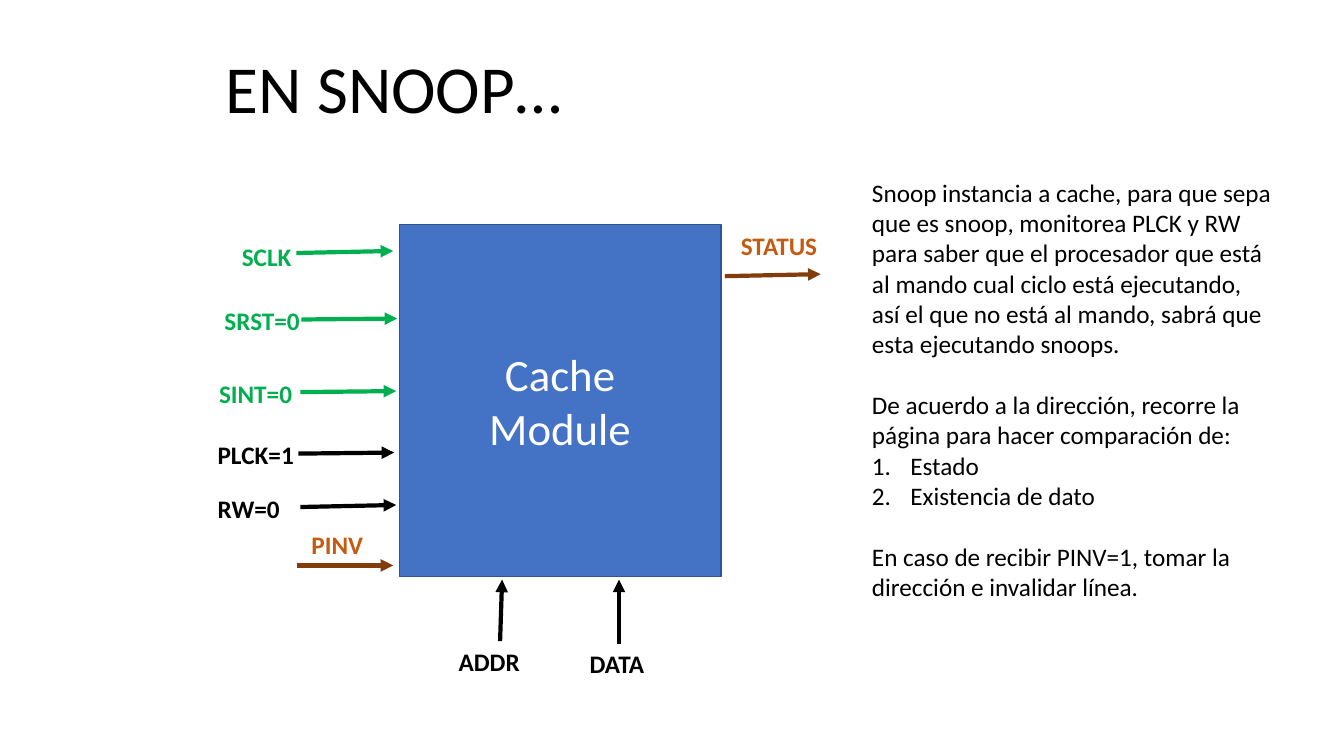
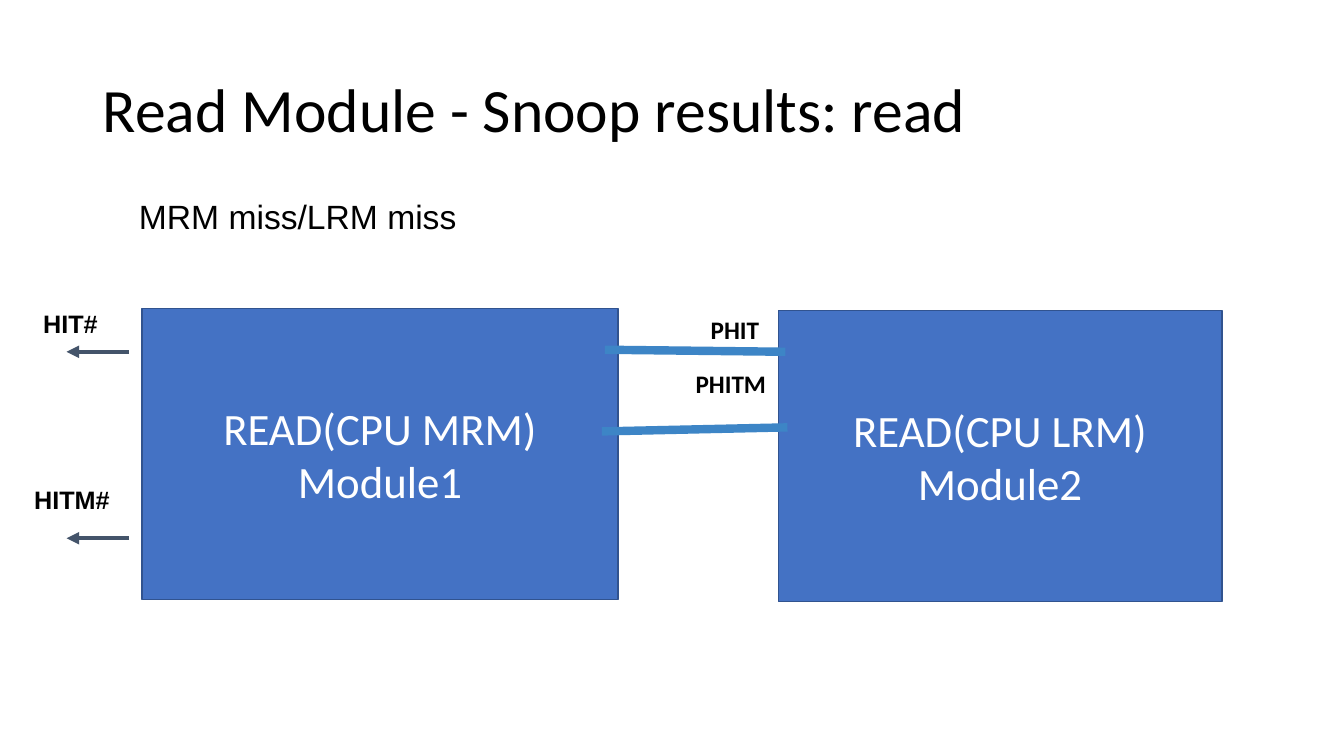
from lxml.etree import SubElement
from pptx import Presentation
from pptx.dml.color import RGBColor
from pptx.enum.shapes import MSO_CONNECTOR as CONN, MSO_SHAPE as SHAPE
from pptx.enum.text import MSO_ANCHOR as ANCHOR, MSO_AUTO_SIZE as AUTO, PP_ALIGN as ALIGN
from pptx.oxml.ns import qn
from pptx.util import Inches, Pt

BLACK, WHITE = "000000", "FFFFFF"
BLUE, NAVY, LINK, SLATE = "4472C4", "31538F", "3D85C6", "44546A"
GREEN, ORANGE, BROWN = "00B050", "C55A11", "833C0B"
LABEL = dict(size=Pt(18), bold=True)

INPUTS = [
    ("SCLK", GREEN, GREEN, ALIGN.CENTER, (-1.7, 0.11, 0.77), (-1.02, 0.28, 0.96, -0.02)),
    ("SRST=0", GREEN, GREEN, ALIGN.CENTER, (-1.9, 0.75, 1.08), (-0.97, 0.94, 0.95, -0.01)),
    ("SINT=0", GREEN, GREEN, ALIGN.CENTER, (-2.01, 1.47, 1.17), (-0.98, 1.66, 0.95, -0.01)),
    ("PLCK=1", BLACK, BLACK, ALIGN.LEFT, (-1.9, 2.08, 0.99), (-1, 2.27, 0.95, -0.01)),
    ("RW=0", BLACK, BLACK, ALIGN.LEFT, (-1.9, 2.61, 1.09), (-0.98, 2.8, 0.95, -0.02)),
    ("PINV", ORANGE, BROWN, ALIGN.LEFT, (-0.97, 2.97, 0.78), (-1.01, 3.38, 0.95, 0)),
    ("ADDR", BLACK, BLACK, ALIGN.LEFT, (0.49, 4.13, 1.05), (1, 4.13, 0.02, -0.61)),
    ("DATA", BLACK, BLACK, ALIGN.LEFT, (1.79, 4.15, 1.05), (2.18, 4.16, 0, -0.64)),
]
OUTPUTS = [
    ("STATUS", ORANGE, BROWN, ALIGN.LEFT, (3.29, 0.01, 1.04), (3.23, 0.51, 0.95, -0.02)),
]
HITS = [
    ("HIT#", BLACK, SLATE, ALIGN.LEFT, (-1.08, -0.05, 1.28), (-0.13, 0.43, -0.62, 0)),
    ("HITM#", BLACK, SLATE, ALIGN.LEFT, (-1.17, 1.7, 1.28), (-0.13, 2.28, -0.62, 0)),
]
LINKS = [
    ("PHIT", BLACK, LINK, ALIGN.LEFT, (5.54, 0.01, 0.82), (4.59, 0.41, 1.79, 0.02)),
    ("PHITM", BLACK, LINK, ALIGN.LEFT, (5.39, 0.54, 1.12), (4.56, 1.22, 1.84, -0.04)),
]
NOTES = [
    ("Snoop instancia a cache, para que sepa que es snoop, monitorea PLCK y RW para saber "
     "que el procesador que está al mando cual ciclo está ejecutando, así el que no está "
     "al mando, sabrá que esta ejecutando snoops.", False, 22),
    ("De acuerdo a la dirección, recorre la página para hacer comparación de:", False, 0),
    ("Estado", True, 0),
    ("Existencia de dato", True, 22),
    ("En caso de recibir PINV=1, tomar la dirección e invalidar línea.", False, 0),
]


def rgb(value):
    return RGBColor.from_string(value)


def set_attrs(obj, values):
    for name, value in values.items():
        setattr(obj, name, value)


def write(p, text, color=BLACK, align=ALIGN.LEFT, font="Calibri", **fmt):
    p.alignment = align
    r = p.add_run()
    r.text = text
    set_attrs(r.font, dict(fmt, name=font))
    r.font.color.rgb = rgb(color)


def add_text(s, box, inset=0.05):
    tf = s.shapes.add_textbox(*map(Inches, box)).text_frame
    set_attrs(tf, dict(word_wrap=True, margin_top=Inches(inset), margin_bottom=Inches(inset)))
    return tf


def add_title(s, box, text, size, anchor, spacing):
    title = s.shapes.title
    set_attrs(title, dict(zip(("left", "top", "width", "height"), map(Inches, box))))
    tf = title.text_frame
    set_attrs(tf, dict(word_wrap=True, auto_size=AUTO.NONE, vertical_anchor=anchor))
    p = tf.paragraphs[0]
    p.line_spacing = spacing
    write(p, text, size=Pt(size))


def add_module(s, box, lines):
    sp = s.shapes.add_shape(SHAPE.RECTANGLE, *map(Inches, box))
    sp.shadow.inherit = False
    sp.fill.solid()
    sp.fill.fore_color.rgb = rgb(BLUE)
    sp.line.color.rgb = rgb(NAVY)
    sp.line.width = Pt(1)
    tf = sp.text_frame
    set_attrs(tf, dict(word_wrap=True, vertical_anchor=ANCHOR.MIDDLE))
    for i, text in enumerate(lines):
        p = tf.add_paragraph() if i else tf.paragraphs[0]
        write(p, text, WHITE, ALIGN.CENTER, size=Pt(32))


def add_line(s, x, y, dx, dy, color, width, arrow):
    cn = s.shapes.add_connector(CONN.STRAIGHT, *map(Inches, (x, y, x + dx, y + dy)))
    cn.line.color.rgb = rgb(color)
    cn.line.width = Pt(width)
    if arrow:
        SubElement(cn.line._get_or_add_ln(), qn("a:tailEnd"), type="triangle")
    SubElement(cn._element.spPr, qn("a:effectLst"))


def add_signals(s, box, signals, font="Calibri", width=3, arrow=True, height=0.4):
    left, top = box[:2]
    for text, color, line, align, (lx, ly, w), (x, y, dx, dy) in signals:
        tf = add_text(s, (left + lx, top + ly, w, height))
        write(tf.paragraphs[0], text, color, align, font, **LABEL)
        add_line(s, left + x, top + y, dx, dy, line, width, arrow)


def add_notes(s, box):
    tf = add_text(s, box)
    for i, (text, numbered, after) in enumerate(NOTES):
        p = tf.add_paragraph() if i else tf.paragraphs[0]
        p.space_after = Pt(after)
        write(p, text, size=Pt(18))
        if numbered:
            pPr = p._p.get_or_add_pPr()
            pPr.set("marL", str(Inches(0.38)))
            pPr.set("indent", str(-Inches(0.38)))
            SubElement(pPr, qn("a:buFont"), typeface="+mj-lt")
            SubElement(pPr, qn("a:buAutoNum"), type="arabicPeriod")


def snoop_slide(s):
    cache = (3.96, 2.23, 3.19, 3.49)
    add_title(s, (2.14, 0.41, 5.74, 0.91), "EN SNOOP…", 48, ANCHOR.TOP, 1.0)
    add_module(s, cache, ["Cache", "Module"])
    add_signals(s, cache, INPUTS + OUTPUTS)
    add_notes(s, (8.55, 1.71, 4.19, 4.34))


def read_slide(s):
    mrm, lrm = (1.41, 3.06, 4.72, 2.89), (7.72, 3.08, 4.4, 2.89)
    add_title(s, (0.92, 0.39, 11.5, 1.45), "Read Module - Snoop results: read",
              44, ANCHOR.MIDDLE, 0.9)
    tf = add_text(s, (1.28, 1.84, 9.8, 0.87), 0.1)
    write(tf.paragraphs[0], "MRM miss/LRM miss", font="Arial", size=Pt(24))
    add_module(s, mrm, ["READ(CPU MRM)", "Module1"])
    add_module(s, lrm, ["READ(CPU LRM)", "Module2"])
    add_signals(s, mrm, LINKS, width=6, arrow=False, height=0.32)
    add_signals(s, mrm, HITS, font="Arial", height=0.52)


def main():
    prs = Presentation()
    set_attrs(prs, dict(slide_width=Inches(13.33), slide_height=Inches(7.5)))
    for build in (snoop_slide, read_slide):
        build(prs.slides.add_slide(prs.slide_layouts[5]))
    prs.save("out.pptx")


if __name__ == "__main__":
    main()
